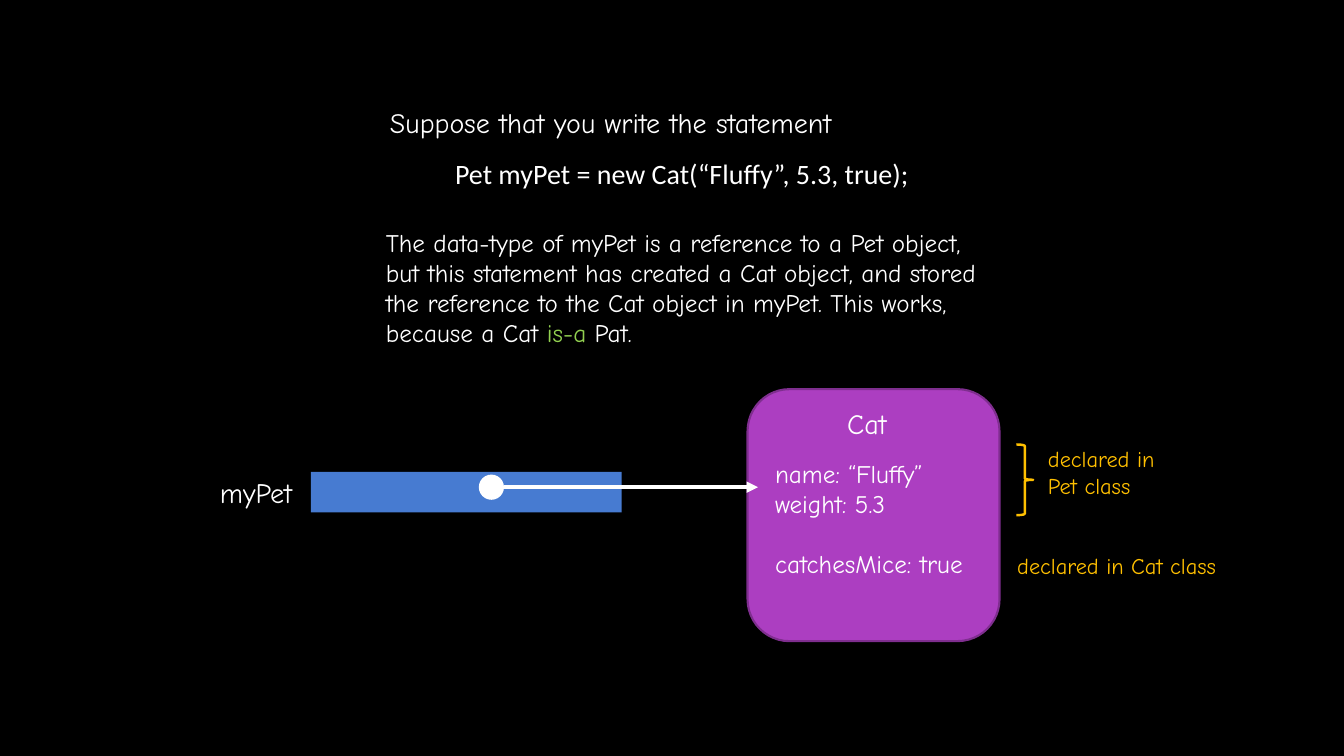
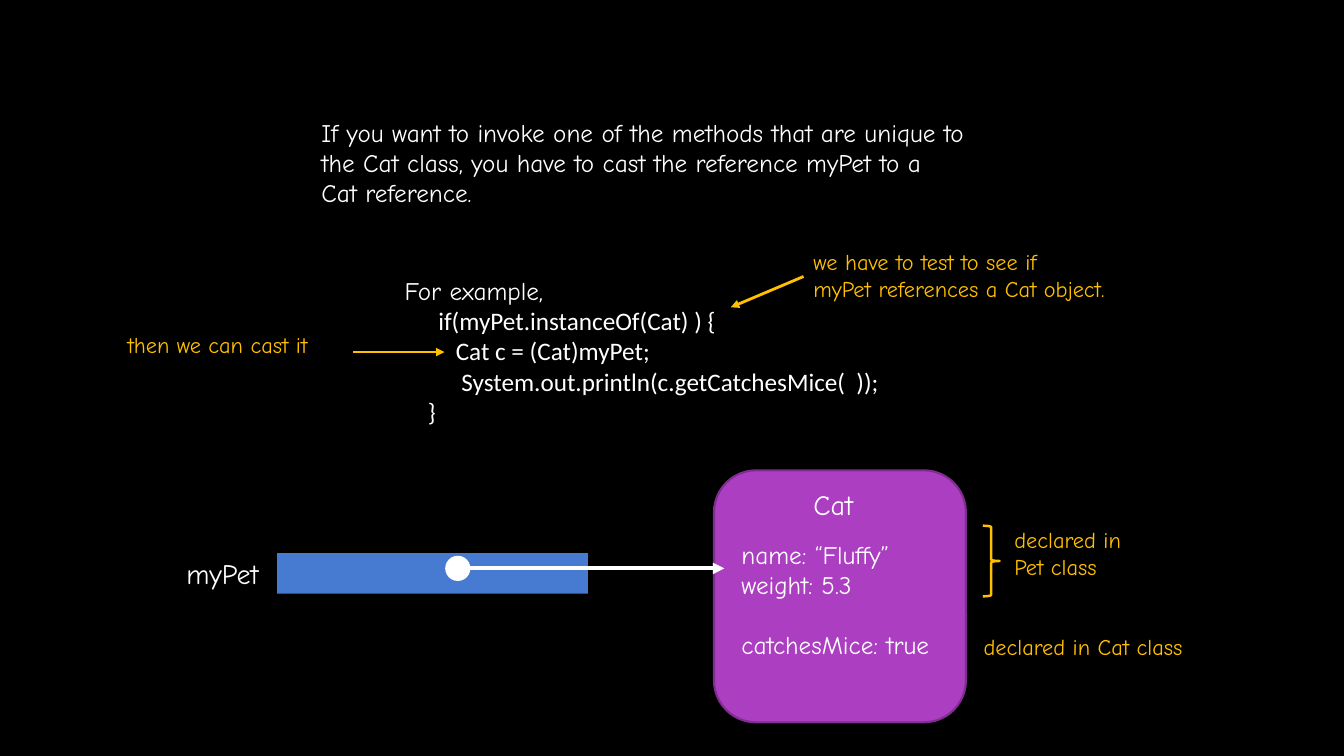
from dataclasses import dataclass

from lxml import etree
from pptx import Presentation
from pptx.dml.color import RGBColor
from pptx.enum.shapes import MSO_CONNECTOR, MSO_SHAPE
from pptx.oxml.ns import qn
from pptx.shapes.autoshape import Shape
from pptx.slide import Slide
from pptx.util import Pt

RECTANGLE = MSO_SHAPE.RECTANGLE
ROUNDED = MSO_SHAPE.ROUNDED_RECTANGLE
OVAL = MSO_SHAPE.OVAL
BRACE = MSO_SHAPE.RIGHT_BRACE
STRAIGHT = MSO_CONNECTOR.STRAIGHT

COLORS = {
    "background": "000000",
    "text": "FFFFFF",
    "note": "FFC000",
    "accent": "92D050",
    "variable": "477BD1",
    "object": "AC3EC1",
    "outline": "7F2E8F",
}
HAND_FONT = "Comic Neue"
CODE_FONT = "Calibri"
HEADING, BODY, NOTE = 20, 18, 16  # text sizes
LINE_HEIGHT = 21.6  # one line of body text


@dataclass(frozen=True)
class Span:
    text: str
    color: str = ""


@dataclass(frozen=True)
class Line:
    spans: tuple[Span, ...]
    font: str = HAND_FONT
    indent: float = 0
    space_before: float = 0


@dataclass(frozen=True)
class TextBlock:
    left: float
    top: float
    width: float
    height: float
    lines: tuple[Line, ...]
    size: int = BODY
    color: str = "text"


@dataclass(frozen=True)
class Figure:
    kind: MSO_SHAPE
    left: float
    top: float
    width: float
    height: float
    fill: str = ""
    outline: str = ""
    weight: float = 0


@dataclass(frozen=True)
class Arrow:
    start: tuple[float, float]
    end: tuple[float, float]
    color: str = "note"
    weight: float = 2


def line(text: str, font: str = HAND_FONT, indent: float = 0, space_before: float = 0) -> Line:
    return Line((Span(text),), font, indent, space_before)


def rgb(name: str) -> RGBColor:
    return RGBColor.from_string(COLORS[name])


def add_text(page: Slide, block: TextBlock, x: float = 0, y: float = 0) -> None:
    box = page.shapes.add_textbox(
        Pt(x + block.left), Pt(y + block.top), Pt(block.width), Pt(block.height))
    frame = box.text_frame
    frame.word_wrap = True
    for index, row in enumerate(block.lines):
        para = frame.add_paragraph() if index else frame.paragraphs[0]
        para.font.name = row.font
        para.font.size = Pt(block.size)
        para.font.color.rgb = rgb(block.color)
        if row.space_before:
            para.space_before = Pt(row.space_before)
        if row.indent:
            para._p.get_or_add_pPr().set("marL", str(Pt(row.indent)))
        for span in row.spans:
            run = para.add_run()
            run.text = span.text
            if span.color:
                run.font.color.rgb = rgb(span.color)


def add_figure(page: Slide, figure: Figure, x: float, y: float) -> Shape:
    shape = page.shapes.add_shape(
        figure.kind, Pt(x + figure.left), Pt(y + figure.top), Pt(figure.width), Pt(figure.height))
    shape.shadow.inherit = False
    if figure.fill:
        shape.fill.solid()
        shape.fill.fore_color.rgb = rgb(figure.fill)
    else:
        shape.fill.background()
    if figure.outline:
        shape.line.color.rgb = rgb(figure.outline)
        shape.line.width = Pt(figure.weight)
    else:
        shape.line.fill.background()
    return shape


def add_arrow(page: Slide, arrow: Arrow, x: float = 0, y: float = 0) -> None:
    (x1, y1), (x2, y2) = arrow.start, arrow.end
    connector = page.shapes.add_connector(
        STRAIGHT, Pt(x + x1), Pt(y + y1), Pt(x + x2), Pt(y + y2))
    connector.line.color.rgb = rgb(arrow.color)
    connector.line.width = Pt(arrow.weight)
    head = etree.SubElement(connector.line._get_or_add_ln(), qn("a:tailEnd"))
    head.set("type", "triangle")
    etree.SubElement(connector._element.spPr, qn("a:effectLst"))


# Memory diagram, measured from its own top left corner
DIAGRAM_FIGURES = (
    Figure(RECTANGLE, 72, 59, 222, 29, "variable"),
    Figure(ROUNDED, 384, 0, 180, 180, "object", "outline", 1.5),
    Figure(OVAL, 192, 61, 18, 18, "text"),
    Figure(BRACE, 576, 39.5, 12, 50.5, "", "note", 1.75),
)
DIAGRAM_POINTER = Arrow((210, 70), (391.5, 70), "text", 2.75)
DIAGRAM_TEXTS = (
    TextBlock(0, 58, 72, 32, (line("myPet"),), HEADING),
    TextBlock(448, 8.5, 50, 32, (line("Cat"),), HEADING),
    TextBlock(396.5, 45.5, 168, 94, (
        line("name: “Fluffy”"),
        line("weight: 5.3"),
        line("catchesMice: true", space_before=LINE_HEIGHT),
    )),
    TextBlock(591.5, 36.5, 103, 46, (line("declared in"), line("Pet class")), NOTE, "note"),
    TextBlock(569.5, 112.5, 170, 27, (line("declared in Cat class"),), NOTE, "note"),
)


def add_diagram(page: Slide, x: float, y: float) -> None:
    for figure in DIAGRAM_FIGURES:
        add_figure(page, figure, x, y)
    add_arrow(page, DIAGRAM_POINTER, x, y)
    for block in DIAGRAM_TEXTS:
        add_text(page, block, x, y)


# Slide 1: a Cat stored in a Pet variable
STATEMENT_TEXTS = (
    TextBlock(271.5, 71.5, 374, 32, (line("Suppose that you write the statement"),), HEADING),
    TextBlock(318, 108, 344, 32, (
        line("Pet myPet = new Cat(“Fluffy”, 5.3, true);", CODE_FONT),
    ), HEADING),
    TextBlock(268.5, 158.5, 492, 94, (
        line("The data-type of myPet is a reference to a Pet object,"),
        line("but this statement has created a Cat object, and stored"),
        line("the reference to the Cat object in myPet. This works,"),
        Line((Span("because a Cat "), Span("is-a", "accent"), Span(" Pat."))),
    )),
)

# Slide 2: casting back to Cat
CAST_TEXTS = (
    TextBlock(222.5, 80, 523, 73, (
        line("If you want to invoke one of the methods that are unique to"),
        line("the Cat class, you have to cast the reference myPet to a"),
        line("Cat reference."),
    )),
    TextBlock(282, 193, 358, 117, (
        line("For example,"),
        line("if(myPet.instanceOf(Cat) ) {", CODE_FONT, 24),
        line("Cat c = (Cat)myPet;", CODE_FONT, 36.5),
        line("System.out.println(c.getCatchesMice(  ));", CODE_FONT, 40.5),
        line("}", CODE_FONT, 16.5),
    )),
    TextBlock(574, 174, 251, 46, (
        line("we have to test to see if"),
        line("myPet references a Cat object."),
    ), NOTE, "note"),
    TextBlock(84, 233, 157, 27, (line("then we can cast it"),), NOTE, "note"),
)
CAST_ARROWS = (
    Arrow((574, 197.5), (522, 219.5)),
    Arrow((252, 251.5), (317.5, 251.5)),
)

PAGES = (
    (STATEMENT_TEXTS, (), (150, 278)),
    (CAST_TEXTS, CAST_ARROWS, (126, 336)),
)


def main() -> None:
    deck = Presentation()
    deck.slide_width, deck.slide_height = Pt(960), Pt(540)
    backdrop = deck.slide_master.background.fill
    backdrop.solid()
    backdrop.fore_color.rgb = rgb("background")
    for texts, arrows, corner in PAGES:
        page = deck.slides.add_slide(deck.slide_layouts[6])
        add_diagram(page, *corner)
        for block in texts:
            add_text(page, block)
        for arrow in arrows:
            add_arrow(page, arrow)
    deck.save("out.pptx")


if __name__ == "__main__":
    main()
